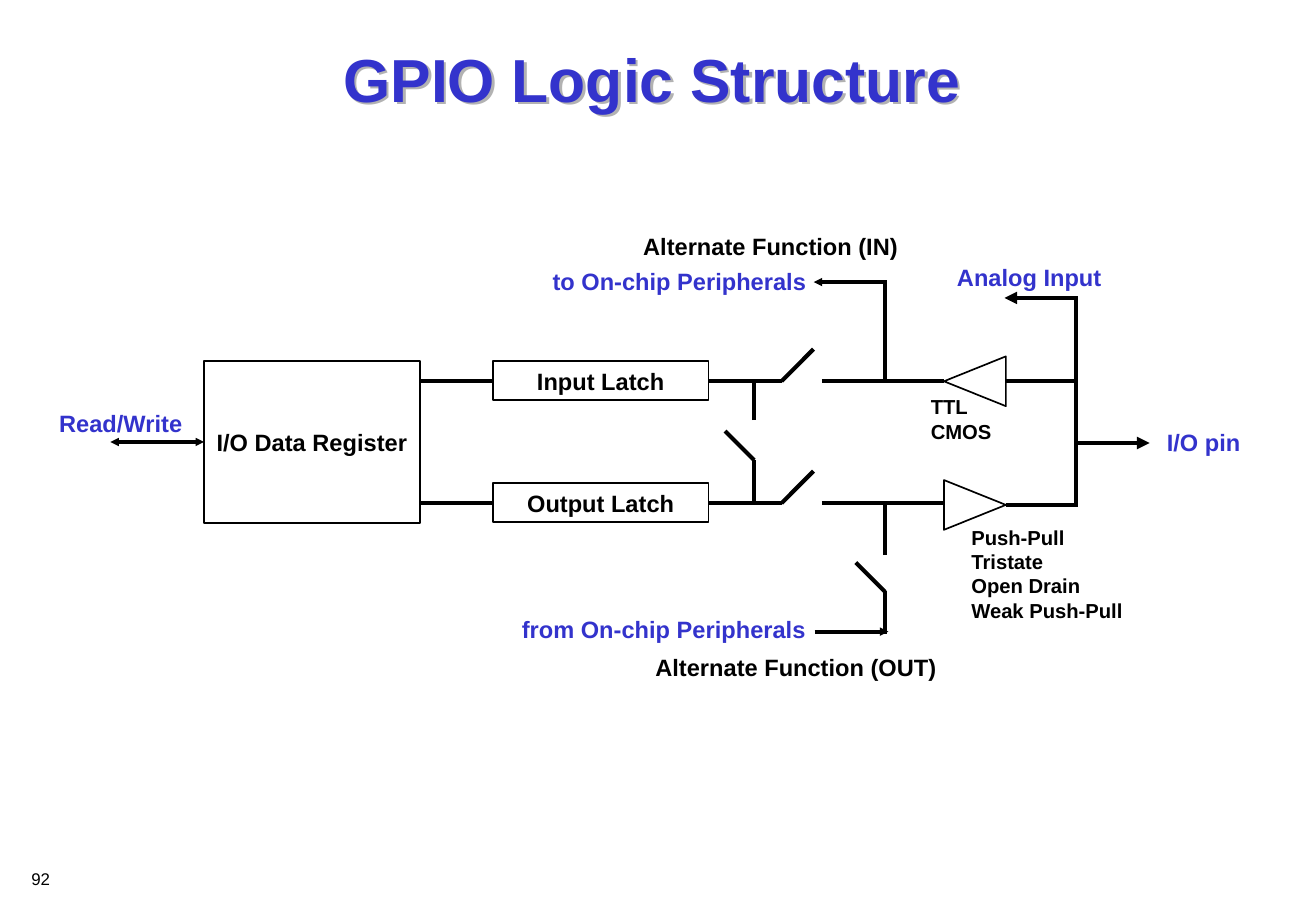
import dataclasses

import lxml.etree
import pptx
import pptx.dml.color
import pptx.enum.shapes
import pptx.enum.text
import pptx.oxml
import pptx.oxml.ns
import pptx.util

Pt = pptx.util.Pt
Shape = pptx.enum.shapes.MSO_SHAPE
Align = pptx.enum.text.PP_ALIGN
Anchor = pptx.enum.text.MSO_ANCHOR
qn = pptx.oxml.ns.qn


@dataclasses.dataclass(frozen=True)
class Theme:
    font: str = "Arial"
    ink: str = "000000"
    blue: str = "3333CC"
    paper: str = "FFFFFF"
    shade: str = "B2B2B2"
    title: float = 36
    label: float = 14
    note: float = 12
    page: float = 10
    edge: float = 1
    wire: float = 2.5


THEME = Theme()


def paint(hue):
    return pptx.dml.color.RGBColor.from_string(hue)


def write(shape, paras, size, hue, bold=True, align=Align.LEFT, anchor=Anchor.TOP):
    frame = shape.text_frame
    frame.word_wrap = False
    frame.vertical_anchor = anchor
    for index, lines in enumerate(paras):
        para = frame.add_paragraph() if index else frame.paragraphs[0]
        para.alignment = align
        for row, line in enumerate(lines):
            if row:
                para.add_line_break()
            run = para.add_run()
            run.text = line
            run.font.name = THEME.font
            run.font.size = Pt(size)
            run.font.bold = bold
            run.font.color.rgb = paint(hue)


def label(slide, box, paras, size, hue, **style):
    text = slide.shapes.add_textbox(*map(Pt, box))
    write(text, paras, size, hue, **style)
    return text


def block(slide, kind, box, turn=0):
    shape = slide.shapes.add_shape(kind, *map(Pt, box))
    shape.shadow.inherit = False
    shape.rotation = turn
    shape.fill.solid()
    shape.fill.fore_color.rgb = paint(THEME.paper)
    tint = shape.fill._xPr.find(".//" + qn("a:srgbClr"))
    lxml.etree.SubElement(tint, qn("a:alpha"), val="50000")
    shape.line.color.rgb = paint(THEME.ink)
    shape.line.width = Pt(THEME.edge)
    return shape


def wire(slide, start, end, ends=(), size="med"):
    line = slide.shapes.add_connector(
        pptx.enum.shapes.MSO_CONNECTOR.STRAIGHT, *map(Pt, start + end))
    line.line.color.rgb = paint(THEME.ink)
    line.line.width = Pt(THEME.wire)
    stroke = line.line._get_or_add_ln()
    for name in ends:
        lxml.etree.SubElement(stroke, qn("a:" + name), type="triangle", w=size, len=size)
    lxml.etree.SubElement(line._element.spPr, qn("a:effectLst"))


def title(slide, box):
    text = label(slide, box, [["GPIO Logic Structure"]], THEME.title, THEME.blue,
                 align=Align.CENTER, anchor=Anchor.MIDDLE)
    glow = pptx.oxml.parse_xml(
        '<a:effectLst xmlns:a="http://schemas.openxmlformats.org/drawingml/2006/main">'
        '<a:outerShdw dist="25400" dir="2700000" algn="ctr" rotWithShape="0">'
        f'<a:srgbClr val="{THEME.shade}"/></a:outerShdw></a:effectLst>')
    text._element.spPr.append(glow)


def logic(slide, box):
    left, top, width, height = box

    def at(x, y):
        return left + x, top + y

    high, low, mid = 92, 164.3, 128
    wide, tall = 128, 23
    reg, latch, fork, alt, bus = 93, 264.3, 419.3, 496.9, 610.2
    gate, wing, span = 550.2, 36.7, 29.5
    swing, drop = 19, 17.3

    parts = [("I/O Data Register", reg, mid, 95.8),
             ("Input Latch", latch, high - 0.4, tall),
             ("Output Latch", latch, low - 0.4, tall)]
    for name, x, y, size in parts:
        shape = block(slide, Shape.RECTANGLE, at(x, y - size / 2) + (wide, size))
        write(shape, [[name]], THEME.label, THEME.ink,
              align=Align.CENTER, anchor=Anchor.MIDDLE)

    for y, turn in ((high, 270), (low + 1, 90)):
        spot = at(gate - span / 2, y - wing / 2)
        block(slide, Shape.ISOSCELES_TRIANGLE, spot + (span, wing), turn)

    for y in (high, low):
        for start, end in ((reg + wide, latch), (latch + wide, 435.7),
                           (459.4, gate - wing / 2)):
            wire(slide, at(start, y), at(end, y))
        wire(slide, at(435.5, y), at(435.5 + swing, y - swing))

    for y in (high, low + 1.2):
        wire(slide, at(gate + wing / 2, y), at(bus + 1, y))

    links = [((fork, low), (fork, 138.5)),
             ((fork, 115), (fork, high - 1)),
             ((bus, low + 2), (bus, 41.7)),
             ((alt, high), (alt, 32.2)),
             ((alt, 195), (alt, low - 1)),
             ((alt, 241.7), (alt, 216.5))]
    for start, end in links:
        wire(slide, at(*start), at(*end))
    for x, y in ((fork, 138.8), (alt, 216.8)):
        wire(slide, at(x, y), at(x - drop, y - drop))

    heads = [((37.5, mid), (reg, mid), ("headEnd", "tailEnd"), "sm"),
             ((bus, mid + 0.6), (653.8, mid + 0.6), ("tailEnd",), "med"),
             ((567.8, 42.6), (bus + 1, 42.6), ("headEnd",), "med"),
             ((454.6, 33.2), (alt + 1, 33.2), ("headEnd",), "sm"),
             ((455.2, 240.4), (alt + 2, 240.4), ("tailEnd",), "sm")]
    for start, end, ends, size in heads:
        wire(slide, at(*start), at(*end), ends, size)

    names = [("Read/Write", 0, 105, 88, THEME.blue),
             ("I/O pin", 657, 116, 64, THEME.blue),
             ("Analog Input", 532.5, 18.3, 100, THEME.blue),
             ("Alternate Function (IN)", 346.4, 0, 165.6, THEME.ink),
             ("to On-chip Peripherals", 292.6, 20.8, 164.9, THEME.blue),
             ("from On-chip Peripherals", 274.4, 226.7, 182.9, THEME.blue),
             ("Alternate Function (OUT)", 353.6, 249.3, 181.4, THEME.ink)]
    for name, x, y, size, hue in names:
        label(slide, at(x, y) + (size, 24.5), [[name]], THEME.label, hue)

    label(slide, at(517, 96.4) + (50.4, 36), [["TTL", "CMOS"]], THEME.note, THEME.ink)
    label(slide, at(541, 173.7) + (104.4, 64.8),
          [["Push-Pull", "Tristate"], ["Open Drain", "Weak Push-Pull"]],
          THEME.note, THEME.ink)


def foot(slide, box):
    label(slide, box, [["92"]], THEME.page, THEME.ink, bold=False)


def main():
    deck = pptx.Presentation()
    deck.slide_width = Pt(780.48)
    deck.slide_height = Pt(540)
    slide = deck.slides.add_slide(deck.slide_layouts[6])
    title(slide, (52, 7.2, 669.6, 77.8))
    logic(slide, (28, 134, 721, 274))
    foot(slide, (11.5, 511.2, 37.4, 19.4))
    deck.save("out.pptx")


if __name__ == "__main__":
    main()
